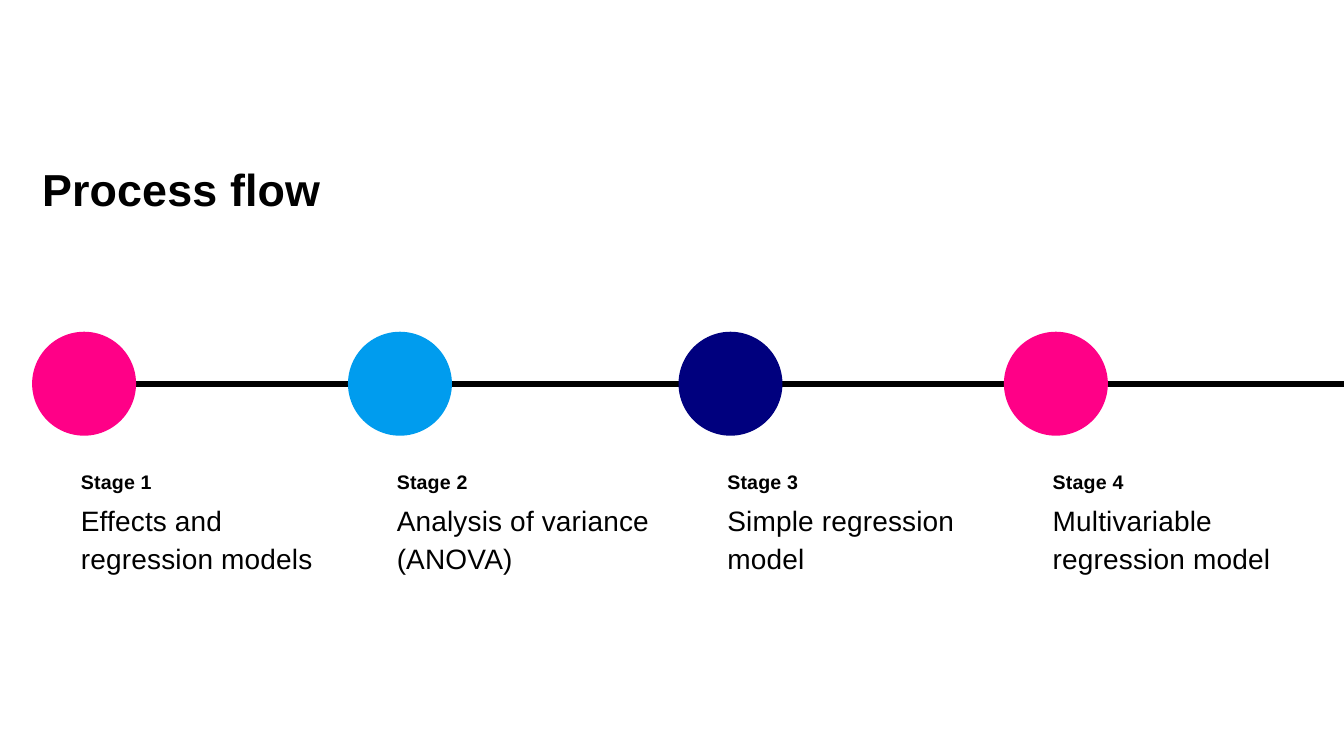
from dataclasses import dataclass

from lxml import etree
from pptx import Presentation
from pptx.dml.color import RGBColor
from pptx.enum.shapes import MSO_CONNECTOR, MSO_SHAPE
from pptx.oxml.ns import qn
from pptx.util import Cm, Pt

STRAIGHT = MSO_CONNECTOR.STRAIGHT
OVAL = MSO_SHAPE.OVAL


@dataclass(frozen=True)
class Theme:
    font: str = "Arial"
    black: str = "000000"
    pink: str = "FF0087"
    blue: str = "009CEE"
    navy: str = "00007E"
    title: int = 32
    label: int = 14
    body: int = 20


theme = Theme()


def add_text(s, text, x, y, w, h, size, bold, spacing):
    tf = s.shapes.add_textbox(Cm(x), Cm(y), Cm(w), Cm(h)).text_frame
    tf.word_wrap = True
    tf.margin_left = tf.margin_right = Cm(0.25)
    tf.margin_top = tf.margin_bottom = Cm(0.19)
    tf.text = text
    p = tf.paragraphs[0]
    p.line_spacing = spacing
    r = p.runs[0]
    r.font.name = theme.font
    r.font.size = Pt(size)
    r.font.bold = bold
    r.font.color.rgb = RGBColor.from_string(theme.black)
    r.font._element.set("spc", "10")


prs = Presentation()
prs.slide_width = Cm(33.87)
prs.slide_height = Cm(19.05)
s = prs.slides.add_slide(prs.slide_layouts[6])

line = s.shapes.add_connector(STRAIGHT, Cm(33.87), Cm(9.68), Cm(1.88), Cm(9.68))
line.line.color.rgb = RGBColor.from_string(theme.black)
line.line.width = Pt(4.5)
etree.SubElement(line._element.spPr, qn("a:effectLst"))

add_text(s, "Process flow", 0.81, 3.76, 18.92, 2.62, theme.title, True, 1.1)

stages = [
    (0.81, theme.pink, "Effects and regression models", 3.61, 6.55),
    (8.77, theme.blue, "Analysis of variance (ANOVA)", 3.61, 7.19),
    (17.1, theme.navy, "Simple regression model", 3.61, 6.55),
    (25.3, theme.pink, "Multivariable regression model", 4.78, 6.55),
]
diameter = 2.62
text_offset = 0.98

for number, (x, color, text, label_w, body_w) in enumerate(stages, 1):
    sp = s.shapes.add_shape(OVAL, Cm(x), Cm(8.36), Cm(diameter), Cm(diameter))
    sp.shadow.inherit = False
    sp.fill.solid()
    sp.fill.fore_color.rgb = RGBColor.from_string(color)
    sp.line.fill.background()
    text_x = x + text_offset
    add_text(s, f"Stage {number}", text_x, 11.58, label_w, 0.76, theme.label, True, 1.13)
    add_text(s, text, text_x, 12.4, body_w, 5.16, theme.body, False, 1.13)

prs.save("out.pptx")
